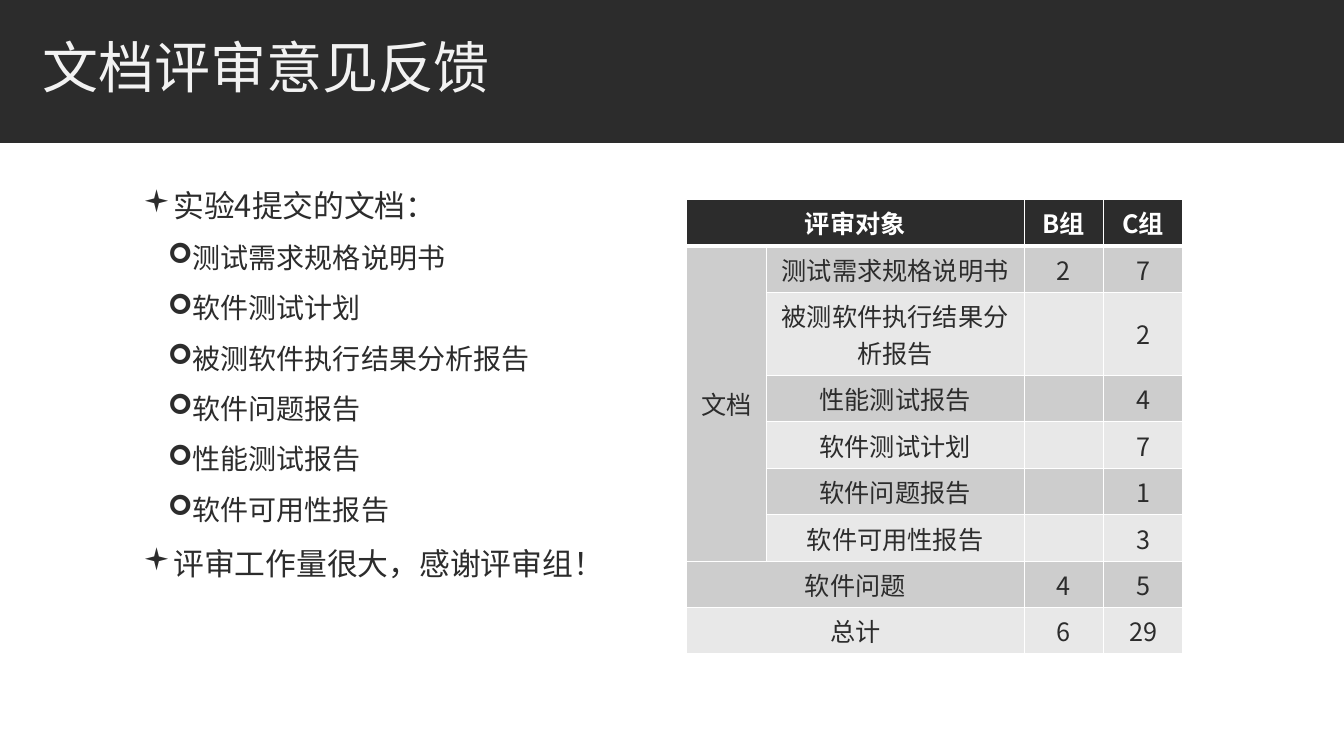
from lxml.etree import SubElement
from pptx import Presentation
from pptx.dml.color import RGBColor
from pptx.enum.shapes import MSO_SHAPE as Shape
from pptx.enum.text import MSO_ANCHOR as Anchor, PP_ALIGN as Align
from pptx.oxml import parse_xml
from pptx.oxml.ns import nsdecls, qn
from pptx.util import Cm, Pt

FONT = "Noto Sans CJK SC"
DARK, WHITE, PALE = "2C2C2C", "FFFFFF", "F2F2F2"
BANDS = ["CDCDCD", "E8E8E8"]

# (level, text)
POINTS = [
    (0, "实验4提交的文档："),
    (1, "测试需求规格说明书"),
    (1, "软件测试计划"),
    (1, "被测软件执行结果分析报告"),
    (1, "软件问题报告"),
    (1, "性能测试报告"),
    (1, "软件可用性报告"),
    (0, "评审工作量很大，感谢评审组！"),
]
# level: (bullet, size in points, indent in cm)
LEVELS = {0: ("▪", 22, 0.51), 1: ("➢", 20, 1.14)}
HANGING = 0.51

REVIEWS = [
    ["评审对象", "", "B组", "C组"],
    ["文档", "测试需求规格说明书", "2", "7"],
    ["", "被测软件执行结果分析报告", "", "2"],
    ["", "性能测试报告", "", "4"],
    ["", "软件测试计划", "", "7"],
    ["", "软件问题报告", "", "1"],
    ["", "软件可用性报告", "", "3"],
    ["软件问题", "", "4", "5"],
    ["总计", "", "6", "29"],
]
# (first row, first column, last row, last column)
MERGES = [(0, 0, 0, 1), (1, 0, 6, 0), (7, 0, 7, 1), (8, 0, 8, 1)]
COLUMNS = [2.01, 6.5, 2, 2]
ROW_HEIGHT, TWO_LINE_HEIGHT, TWO_LINE_ROW = 1.17, 2.09, 2


def color(value):
    return RGBColor.from_string(value)


def style_text(para, size, value, bold=False):
    for span in para.runs:
        span.font.size = Pt(size)
        span.font.name = FONT
        span.font.bold = bold
        span.font.color.rgb = color(value)
        SubElement(span.font._element, qn("a:ea"), typeface=FONT)


def add_bullet(para, mark, indent):
    props = para._p.get_or_add_pPr()
    props.set("marL", str(Cm(indent)))
    props.set("indent", str(-Cm(HANGING)))
    tint = SubElement(props, qn("a:buClr"))
    SubElement(tint, qn("a:srgbClr"), val=DARK)
    SubElement(props, qn("a:buFont"), typeface="Wingdings", charset="2")
    SubElement(props, qn("a:buChar"), char=mark)


def add_border(cell, top, bottom):
    """Draw white cell edges; top and bottom are widths in points."""
    props = cell._tc.get_or_add_tcPr()
    edges = [("L", 1), ("R", 1), ("T", top), ("B", bottom)]
    for place, (side, width) in enumerate(edges):
        props.insert(place, parse_xml(
            f'<a:ln{side} {nsdecls("a")} w="{Pt(width)}"><a:solidFill>'
            f'<a:srgbClr val="{WHITE}"/></a:solidFill></a:ln{side}>'))


def add_title_band(page, left, top, width, height):
    band = page.shapes.add_shape(
        Shape.RECTANGLE, Cm(left), Cm(top), Cm(width), Cm(height))
    band.shadow.inherit = False
    band.fill.solid()
    band.fill.fore_color.rgb = color(DARK)
    band.line.fill.background()
    box = page.shapes.add_textbox(
        Cm(left + 0.82), Cm(top + 0.66), Cm(width - 6.7), Cm(2.29))
    frame = box.text_frame
    frame.word_wrap = True
    frame.vertical_anchor = Anchor.MIDDLE
    frame.text = "文档评审意见反馈"
    para = frame.paragraphs[0]
    para.line_spacing = 0.85
    style_text(para, 40, PALE)


def add_points(page, left, top, width, height):
    box = page.shapes.add_textbox(Cm(left), Cm(top), Cm(width), Cm(height))
    frame = box.text_frame
    frame.word_wrap = True
    for place, (level, text) in enumerate(POINTS):
        para = frame.add_paragraph() if place else frame.paragraphs[0]
        mark, size, indent = LEVELS[level]
        para.text = text
        para.level = level
        para.line_spacing = 1.5
        add_bullet(para, mark, indent)
        style_text(para, size, DARK)


def add_review_table(page, left, top):
    heights = [TWO_LINE_HEIGHT if r == TWO_LINE_ROW else ROW_HEIGHT
               for r in range(len(REVIEWS))]
    table = page.shapes.add_table(
        len(REVIEWS), len(COLUMNS), Cm(left), Cm(top),
        Cm(sum(COLUMNS)), Cm(sum(heights))).table
    for column, width in zip(table.columns, COLUMNS):
        column.width = Cm(width)
    for r, values in enumerate(REVIEWS):
        table.rows[r].height = Cm(heights[r])
        header = r == 0
        for c, value in enumerate(values):
            cell = table.cell(r, c)
            cell.vertical_anchor = Anchor.MIDDLE
            cell.fill.solid()
            cell.fill.fore_color.rgb = color(DARK if header else BANDS[(r - 1) % 2])
            add_border(cell, 3 if r == 1 else 1, 3 if header else 1)
            cell.text = value
            para = cell.text_frame.paragraphs[0]
            para.alignment = Align.CENTER
            style_text(para, 18, WHITE if header else DARK, header)
    for top_row, first, bottom_row, last in MERGES:
        table.cell(top_row, first).merge(table.cell(bottom_row, last))


def main():
    deck = Presentation()
    deck.slide_width, deck.slide_height = Cm(33.87), Cm(19.05)
    page = deck.slides.add_slide(deck.slide_layouts[6])
    add_title_band(page, 0, 0, 33.87, 3.6)
    add_points(page, 3.35, 4.11, 13.2, 13.16)
    add_review_table(page, 17.3, 5.03)
    deck.save("out.pptx")


if __name__ == "__main__":
    main()
